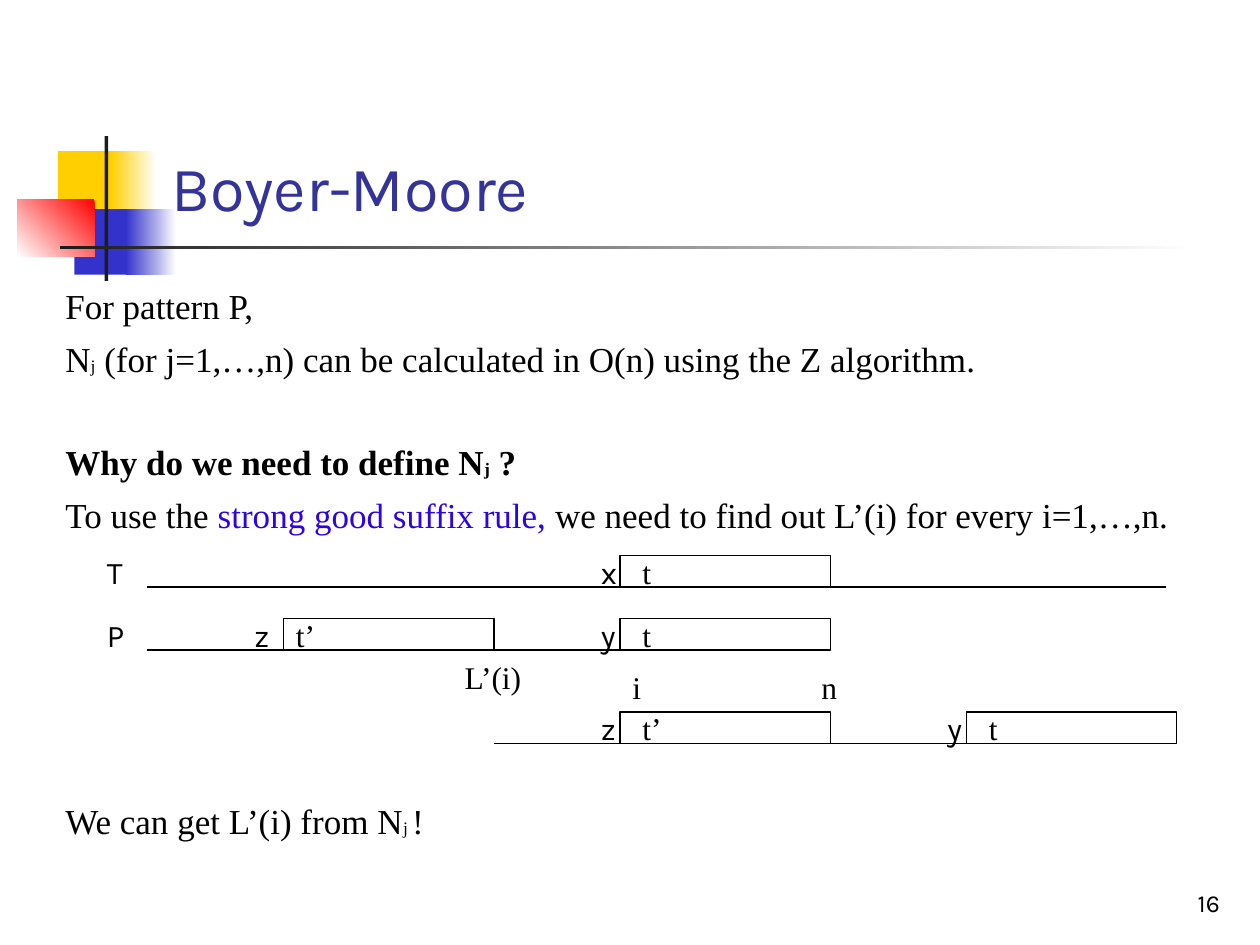
from pptx import Presentation
from pptx.dml.color import RGBColor
from pptx.enum.shapes import MSO_CONNECTOR, MSO_SHAPE
from pptx.enum.text import MSO_ANCHOR, MSO_AUTO_SIZE, PP_ALIGN
from pptx.oxml.ns import qn
from pptx.util import Inches, Pt
from lxml.etree import SubElement

SANS, SERIF = "Karla", "Times New Roman"
BLACK, BLUE, WHITE = "000000", "3333CC", "FFFFFF"
BLOCK_WIDTH, BLOCK_HEIGHT = 1.67, 0.25

# Left, top, width, height, start colour, end colour, clockwise-reversed angle
DECORATION = [
    (0.46, 1.2, 0.48, 0.52, "FFCF01", None, 0),
    (0.88, 1.2, 0.36, 0.52, WHITE, "FFCF01", 180),
    (0.59, 1.66, 0.46, 0.52, BLUE, None, 0),
    (1, 1.66, 0.4, 0.52, WHITE, BLUE, 180),
    (0.14, 1.58, 0.61, 0.46, "FF0000", WHITE, 225),
    (0.83, 1.08, 0.03, 1.15, "1C1C1C", None, 0),
    (0.48, 1.95, 9, 0.03, WHITE, "1C1C1C", 180),
]

# Space before, then runs of text, size, bold, colour
BODY = [
    (0, [("For pattern P,", 20, False, BLACK)]),
    (6, [("N", 20, False, BLACK), ("j", 10, False, BLACK),
         (" (for j=1,…,n) can be calculated in O(n) using the Z algorithm.", 20, False, BLACK)]),
    (35, [("Why do we need to define N", 20, True, BLACK), ("j", 10, True, BLACK),
          (" ?", 20, True, BLACK)]),
    (6, [("To use the", 20, False, BLACK), (" strong good suffix rule, ", 20, False, "2D03E1"),
         ("we need to find out L’(i) for every i=1,…,n.", 20, False, BLACK)]),
    (151, [("We can get L’(i) from N", 20, False, BLACK), ("j ", 10, False, BLACK),
           ("!", 20, False, BLACK)]),
]

# Baseline height, line start, line end, then blocks:
# block left, letter before it, letter in it, inset of that letter
ALIGNMENT_ROWS = [
    (4.66, 1.17, 9.25, [(4.92, "x", "t", 0.08)]),
    (5.16, 1.17, 6.58, [(4.92, "y", "t", 0.08), (2.25, "z", "t’", 0)]),
    (5.9, 3.92, 9.33, [(7.67, "y", "t", 0.08), (4.92, "z", "t’", 0.08)]),
]

# Text, left, top, width, font
LABELS = [
    ("T", 0.75, 4.34, 0.32, SANS),
    ("P", 0.75, 4.84, 0.32, SANS),
    ("n", 6.42, 5.25, 0.32, SERIF),
    ("i", 4.92, 5.25, 0.27, SERIF),
    ("L’(i)", 3.59, 5.17, 0.67, SERIF),
]
LETTER_WIDTHS = {"x": 0.33, "y": 0.33, "z": 0.31, "t": 0.27, "t’": 0.35}


def color(value):
    return RGBColor.from_string(value)


def add_run(paragraph, text, size, font_name, hex_color=BLACK, bold=False):
    run = paragraph.add_run()
    run.text = text
    run.font.size = Pt(size)
    run.font.name = font_name
    run.font.bold = bold
    run.font.color.rgb = color(hex_color)


def add_text_frame(slide, left, top, width, height, anchor=MSO_ANCHOR.TOP):
    box = slide.shapes.add_textbox(Inches(left), Inches(top), Inches(width), Inches(height))
    box.text_frame.word_wrap = True
    box.text_frame.vertical_anchor = anchor
    return box.text_frame


def add_label(slide, text, left, top, width, font_name):
    frame = add_text_frame(slide, left, top, width, 0.4)
    frame.word_wrap = False
    frame.auto_size = MSO_AUTO_SIZE.SHAPE_TO_FIT_TEXT
    add_run(frame.paragraphs[0], text, 18, font_name)


def add_decoration(slide, left, top, width, height, start, end, angle):
    shape = slide.shapes.add_shape(MSO_SHAPE.RECTANGLE, Inches(left), Inches(top),
                                   Inches(width), Inches(height))
    shape.shadow.inherit = False
    shape.line.fill.background()
    if end is None:
        shape.fill.solid()
        shape.fill.fore_color.rgb = color(start)
        return
    shape.fill.gradient()
    shape.fill.gradient_angle = angle
    for stop, position, value in zip(shape.fill.gradient_stops, (0, 1), (start, end)):
        stop.position = position
        stop.color.rgb = color(value)


def add_line(slide, start, end, height):
    line = slide.shapes.add_connector(MSO_CONNECTOR.STRAIGHT, Inches(start), Inches(height),
                                      Inches(end), Inches(height))
    line.line.color.rgb = color(BLACK)
    line.line.width = Pt(0.75)
    SubElement(line._element.spPr, qn("a:effectLst"))


def add_block(slide, left, baseline):
    block = slide.shapes.add_shape(MSO_SHAPE.FLOWCHART_PROCESS, Inches(left),
                                   Inches(baseline - BLOCK_HEIGHT),
                                   Inches(BLOCK_WIDTH), Inches(BLOCK_HEIGHT))
    block.shadow.inherit = False
    block.fill.background()
    block.line.color.rgb = color(BLACK)
    block.line.width = Pt(0.75)


def add_alignment_row(slide, baseline, start, end, blocks):
    add_line(slide, start, end, baseline)
    label_top = baseline - 0.32
    for left, before, inside, inset in blocks:
        add_block(slide, left, baseline)
        gap = 0.33 if inset == 0 else 0.25
        add_label(slide, before, left - gap, label_top, LETTER_WIDTHS[before], SANS)
        add_label(slide, inside, left + inset, label_top, LETTER_WIDTHS[inside], SERIF)


def add_body(slide):
    frame = add_text_frame(slide, 0.42, 2.21, 9.38, 4.71)
    for index, (space_before, runs) in enumerate(BODY):
        paragraph = frame.add_paragraph() if index else frame.paragraphs[0]
        properties = paragraph._p.get_or_add_pPr()
        properties.set("marL", str(Inches(0.38)))
        properties.set("indent", str(Inches(-0.38)))
        paragraph.space_before = Pt(space_before)
        for text, size, bold, hex_color in runs:
            add_run(paragraph, text, size, SERIF, hex_color, bold)


def main():
    presentation = Presentation()
    presentation.slide_width = Inches(10)
    presentation.slide_height = Inches(7.5)
    slide = presentation.slides.add_slide(presentation.slide_layouts[6])

    # Coloured squares and rules behind the title
    for decoration in DECORATION:
        add_decoration(slide, *decoration)

    # Title and body
    title = add_text_frame(slide, 1.26, 0.23, 8.52, 1.6, MSO_ANCHOR.BOTTOM)
    add_run(title.paragraphs[0], "Boyer-Moore", 36, SANS, "333399")
    add_body(slide)

    # Text and pattern alignment diagram
    for row in ALIGNMENT_ROWS:
        add_alignment_row(slide, *row)
    for label in LABELS:
        add_label(slide, *label)

    # Slide number
    number = add_text_frame(slide, 7.7, 6.83, 2.08, 0.5, MSO_ANCHOR.BOTTOM)
    number.paragraphs[0].alignment = PP_ALIGN.RIGHT
    add_run(number.paragraphs[0], "16", 14, SANS)

    presentation.save("out.pptx")


if __name__ == "__main__":
    main()
